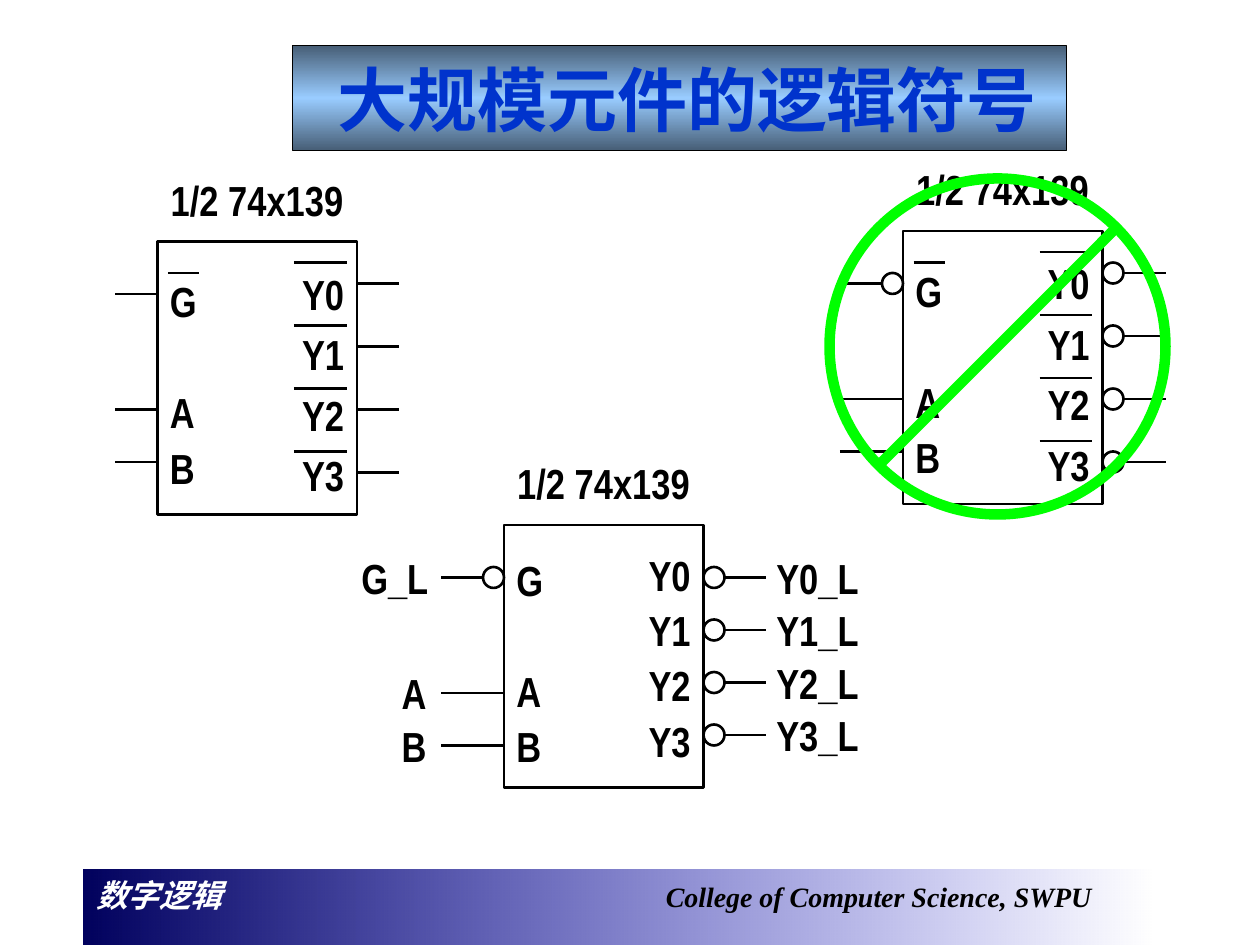
"""Builds a slide that compares logic symbols of a decoder."""
from lxml.etree import SubElement
from pptx import Presentation
from pptx.dml.color import RGBColor
from pptx.enum.shapes import MSO_CONNECTOR as Connector, MSO_SHAPE as Shape
from pptx.enum.text import MSO_ANCHOR as Anchor, MSO_AUTO_SIZE as AutoSize, PP_ALIGN as Align
from pptx.oxml.ns import qn
from pptx.util import Pt

BLACK, GREEN = "000000", "00FF00"
SERIF, NARROW = "Times New Roman", "Arial Narrow"
LABEL_SIZE, LINE_HEIGHT = 24, 28.8
INPUTS = {"G": 30, "A": 96, "B": 126}
SYMBOL_WIDTH, BUBBLE, LEAD = 114, 12, 24


def color(value):
    return RGBColor.from_string(value)


def add_outline(shapes, kind, box, line=BLACK, weight=1.5):
    shape = shapes.add_shape(kind, *map(Pt, box))
    shape.shadow.inherit = False
    shape.fill.background()
    if line:
        shape.line.color.rgb = color(line)
        shape.line.width = Pt(weight)
    else:
        shape.line.fill.background()
    return shape


def add_line(shapes, start, end, line=BLACK, weight=1.5):
    connector = shapes.add_connector(Connector.STRAIGHT, *map(Pt, (*start, *end)))
    connector.line.color.rgb = color(line)
    connector.line.width = Pt(weight)
    SubElement(connector._element.spPr, qn("a:effectLst"))


def set_gradient(shape, stops, angle):
    shape.fill.gradient()
    gradient = shape._element.spPr.find(qn("a:gradFill"))
    for child in list(gradient):
        gradient.remove(child)
    stop_list = SubElement(gradient, qn("a:gsLst"))
    for position, value, opacity in stops:
        stop = SubElement(stop_list, qn("a:gs"), pos=str(position * 1000))
        tone = SubElement(stop, qn("a:srgbClr"), val=value)
        if opacity < 100:
            SubElement(tone, qn("a:alpha"), val=str(opacity * 1000))
    SubElement(gradient, qn("a:lin"), ang=str(angle * 60000), scaled="0")


def write(paragraph, text, size=LABEL_SIZE, font=NARROW, ink=BLACK, italic=False):
    run = paragraph.add_run()
    run.text = text
    run.font.size = Pt(size)
    run.font.name = font
    run.font.bold = True
    run.font.italic = italic
    run.font.color.rgb = color(ink)


def add_label(shapes, lines, left, top, width, spacing=1.0, gap_before=None):
    pitch = LINE_HEIGHT * spacing
    rows = len(lines) + (gap_before is not None)
    box = shapes.add_textbox(Pt(left), Pt(top), Pt(width), Pt(rows * pitch + 7.2))
    frame = box.text_frame
    frame.word_wrap = False
    frame.auto_size = AutoSize.SHAPE_TO_FIT_TEXT
    for index, text in enumerate(lines):
        paragraph = frame.paragraphs[0] if index == 0 else frame.add_paragraph()
        paragraph.line_spacing = spacing
        if text == gap_before:
            paragraph.space_before = Pt(pitch)
        write(paragraph, text)


def add_symbol(slide, left, top, height, first_output, output_step,
               bubbles, bars, output_spacing, label_tops):
    shapes = slide.shapes.add_group_shape().shapes
    right = left + SYMBOL_WIDTH
    offset = BUBBLE if bubbles else 0
    add_outline(shapes, Shape.RECTANGLE, (left, top, SYMBOL_WIDTH, height))
    for index in range(4):
        y = top + first_output + index * output_step
        add_line(shapes, (right + offset, y), (right + offset + LEAD, y))
        if bubbles:
            add_outline(shapes, Shape.OVAL, (right, y - BUBBLE / 2, BUBBLE, BUBBLE))
        if bars:
            add_line(shapes, (right - 36, y - 12), (right - 6, y - 12))
    for name, depth in INPUTS.items():
        y = top + depth
        has_bubble = bubbles and name == "G"
        add_line(shapes, (left - offset - LEAD, y), (left - BUBBLE * has_bubble, y))
        if has_bubble:
            add_outline(shapes, Shape.OVAL, (left - BUBBLE, y - BUBBLE / 2, BUBBLE, BUBBLE))
    if bars:
        add_line(shapes, (left + 6, top + 18), (left + 24, top + 18))
    output_top, input_top = label_tops
    add_label(shapes, [f"Y{index}" for index in range(4)], right - 38.5, top + output_top,
              39.5, output_spacing)
    add_label(shapes, list(INPUTS), left, top + input_top, 30, 1.1, gap_before="A")
    add_label(shapes, ["1/2 74x139"], left + 0.5, top - 42, 113)


def add_signal_names(slide, left, top):
    shapes = slide.shapes.add_group_shape().shapes
    for name, depth in INPUTS.items():
        text, x, width = ("G_L", left - 88.6, 52.6) if name == "G" else (name, left - 65.5, 28)
        add_label(shapes, [text], x, top + depth - 18, width)
    for index in range(4):
        add_label(shapes, [f"Y{index}_L"], left + 148.5, top + 12 + 30 * index, 61.2)


def add_prohibition(slide):
    shapes = slide.shapes.add_group_shape().shapes
    add_outline(shapes, Shape.OVAL, (474, 102, 192, 192), GREEN, 6)
    add_line(shapes, (504, 264), (636, 132), GREEN, 6)


def add_footer(slide):
    bar = add_outline(slide.shapes, Shape.RECTANGLE, (48, 496.8, 612, 50.4), line=None)
    set_gradient(bar, [(0, "00005E", 100), (100, "0000CC", 0)], 0)
    bar.text_frame.vertical_anchor = Anchor.TOP
    paragraph = bar.text_frame.paragraphs[0]
    paragraph.alignment = Align.LEFT
    tabs = SubElement(paragraph._p.get_or_add_pPr(), qn("a:tabLst"))
    SubElement(tabs, qn("a:tab"), pos=str(Pt(325.4)), algn="l")
    write(paragraph, "数字逻辑\t", 18, SERIF, "FFFFFF", italic=True)
    write(paragraph, "College of Computer Science, SWPU", 16, SERIF, italic=True)


def add_title(slide):
    banner = add_outline(slide.shapes, Shape.RECTANGLE, (167, 26, 442.5, 60), weight=0.75)
    set_gradient(banner, [(0, "475E76", 100), (50, "99CCFF", 100), (100, "475E76", 100)], 90)
    frame = banner.text_frame
    frame.vertical_anchor = Anchor.MIDDLE
    frame.margin_left = Pt(16)
    frame.paragraphs[0].alignment = Align.CENTER
    write(frame.paragraphs[0], "大规模元件的逻辑符号", 40, "Karla", "0033CC")


def main():
    presentation = Presentation()
    presentation.slide_width, presentation.slide_height = Pt(720), Pt(540)
    slide = presentation.slides.add_slide(presentation.slide_layouts[6])
    add_footer(slide)
    add_title(slide)
    add_symbol(slide, 288, 300, 150, 30, 30, bubbles=True, bars=False,
               output_spacing=1.1, label_tops=(7.4, 10.3))
    for left, top, bubbles in [(90, 138, False), (516, 132, True)]:
        add_symbol(slide, left, top, 156, 24, 36, bubbles, bars=True,
                   output_spacing=1.2, label_tops=(6, 13.2))
    add_signal_names(slide, 288, 300)
    add_prohibition(slide)
    presentation.save("out.pptx")


if __name__ == "__main__":
    main()
